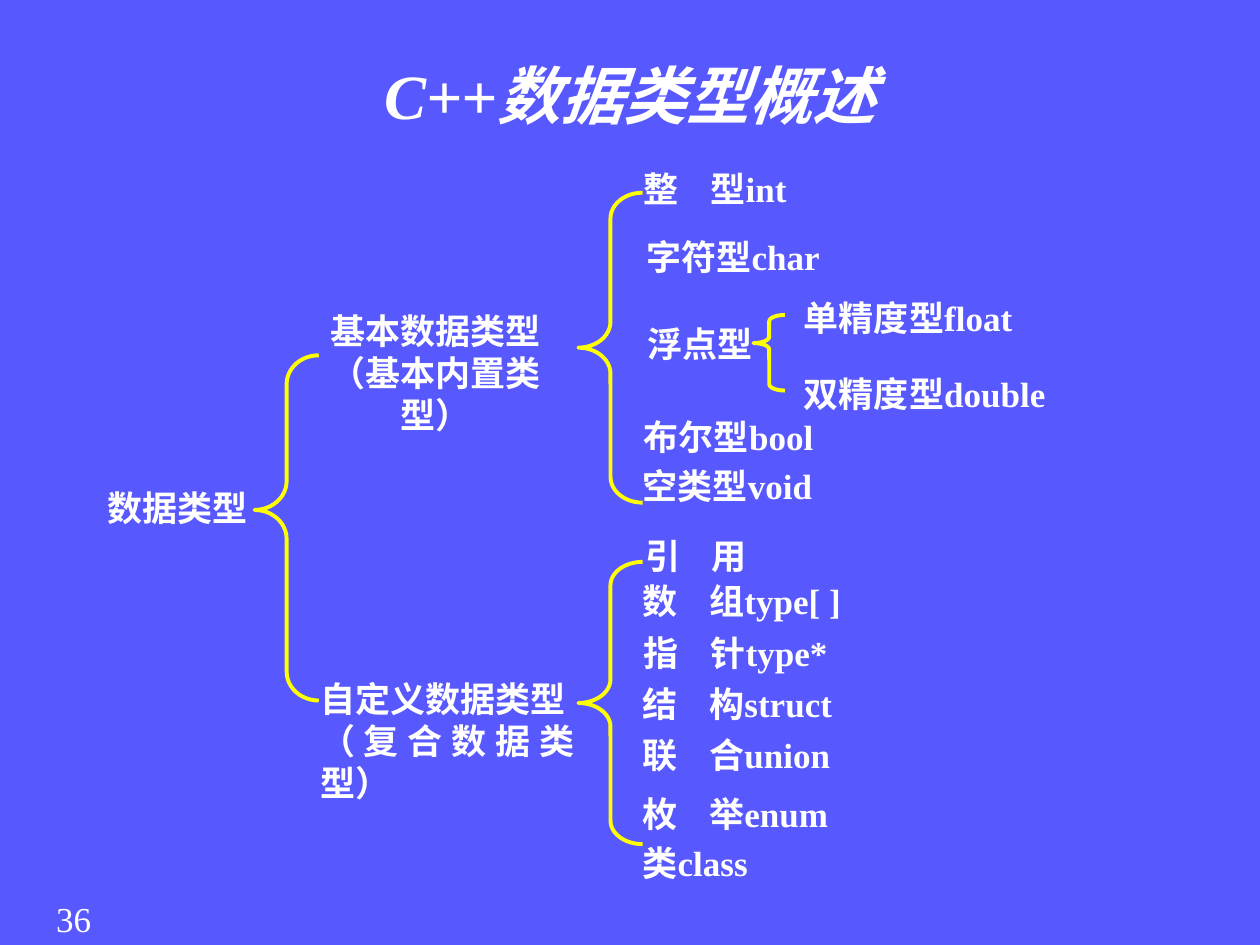
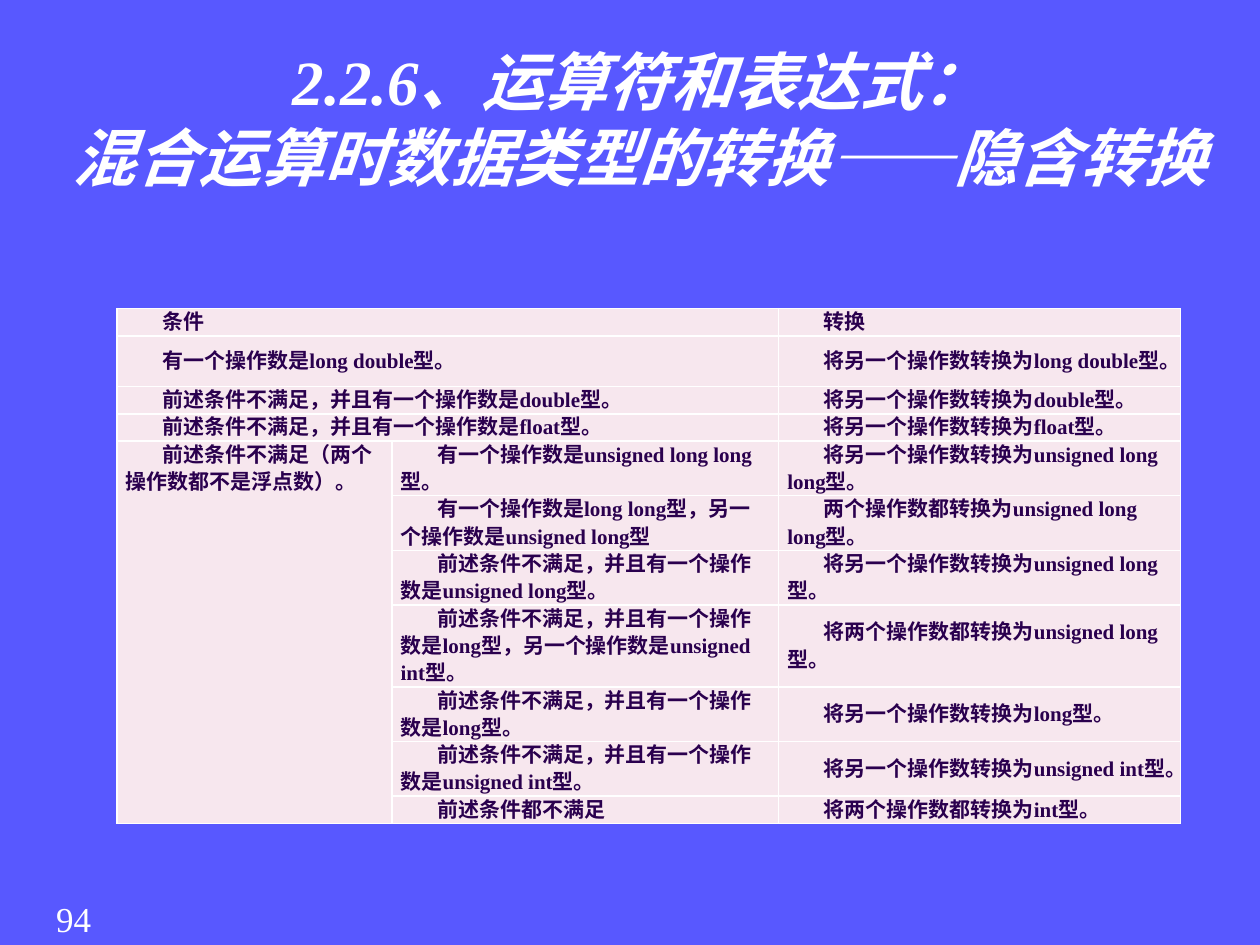
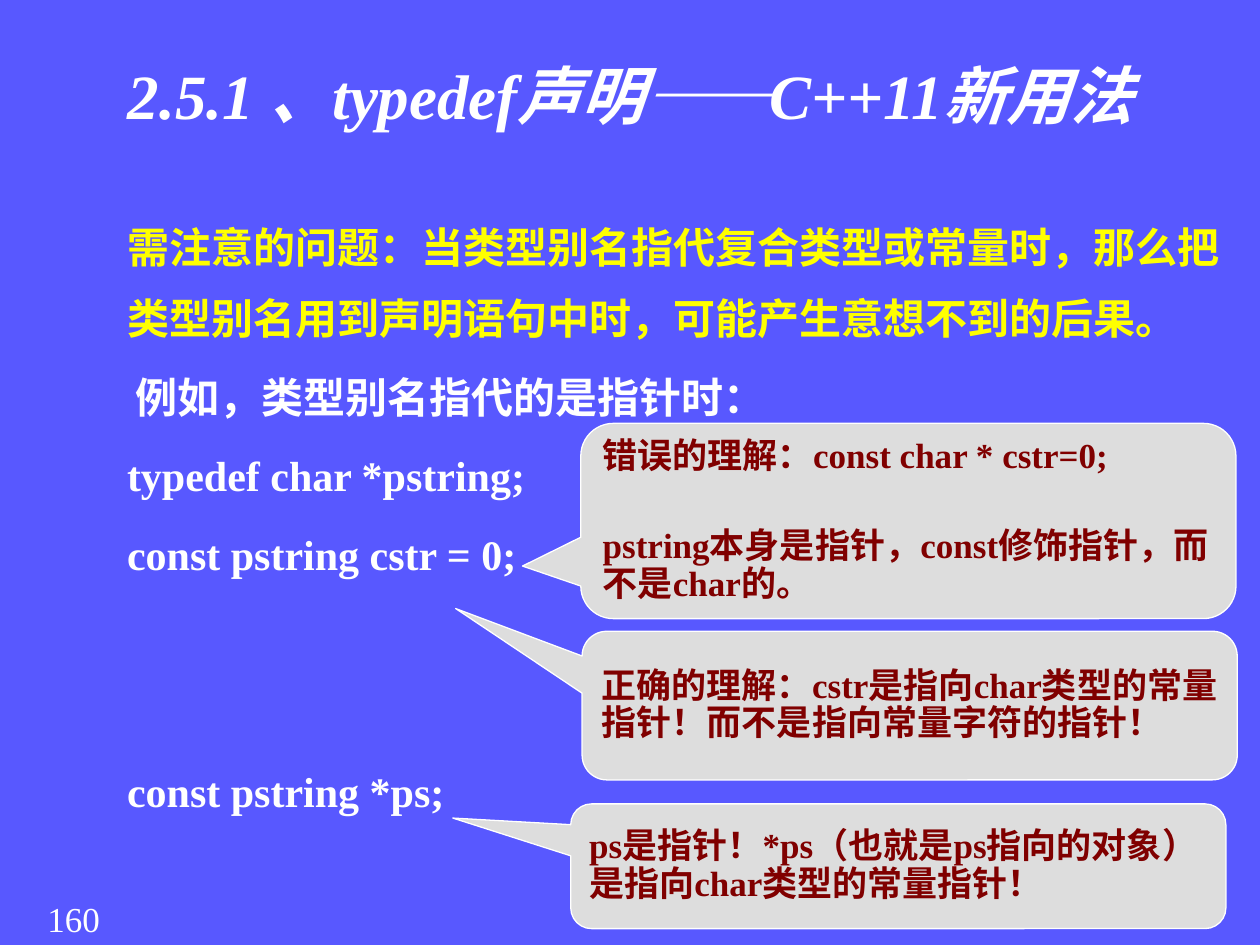
from dataclasses import dataclass, replace
from typing import Optional, Union

from lxml.etree import SubElement
from pptx import Presentation
from pptx.dml.color import RGBColor
from pptx.enum.shapes import MSO_SHAPE as Preset
from pptx.enum.text import MSO_ANCHOR as Anchor, MSO_AUTO_SIZE as AutoSize, PP_ALIGN as Align
from pptx.oxml.ns import qn
from pptx.util import Inches, Length, Pt

BLUE = RGBColor(0x58, 0x58, 0xFF)
WHITE = RGBColor(0xFF, 0xFF, 0xFF)
YELLOW = RGBColor(0xFF, 0xFF, 0x00)
GRAY = RGBColor(0xDD, 0xDD, 0xDD)
MAROON = RGBColor(0x80, 0x00, 0x00)
PINK = RGBColor(0xF7, 0xE7, 0xEE)
PURPLE = RGBColor(0x2A, 0x00, 0x4E)
FONT = "Times New Roman"
TITLE_ONLY = 5
LABEL_INSET = 0.02
CELL_INSET = 0.07
WORD_TAB = 0.53


@dataclass(frozen=True)
class Style:
    size: float
    color: RGBColor = WHITE
    bold: bool = True
    italic: bool = False
    align: Align = Align.LEFT
    line_spacing: Optional[Union[float, Length]] = None
    indent: float = 0


@dataclass(frozen=True)
class Place:
    left: float
    top: float
    width: float
    height: float

    def lengths(self) -> list[Length]:
        return [Inches(side) for side in (self.left, self.top, self.width, self.height)]


@dataclass(frozen=True)
class Line:
    text: str
    style: Style
    space_before: float = 0


@dataclass(frozen=True)
class Label:
    text: str
    place: Place


@dataclass(frozen=True)
class Brace:
    place: Place
    curl: float
    point: float


@dataclass(frozen=True)
class Callout:
    place: Place
    tip: tuple[float, float]
    lines: list[Line]


TITLE = Style(36, italic=True, align=Align.CENTER)
NUMBER = Style(20, bold=False, align=Align.CENTER)
LABEL = Style(20, align=Align.JUSTIFY)
CENTERED = replace(LABEL, align=Align.CENTER)
CELL = Style(12, PURPLE, line_spacing=Pt(15.6), indent=0.29)
BODY = Style(24, line_spacing=1.4)
NOTE = Style(20, MAROON, line_spacing=0.9)

TITLE_PLACE = Place(0.69, 0.4, 8.62, 1.45)
WIDE_TITLE_PLACE = Place(0.43, 0.29, 9.29, 1.45)
NUMBER_PLACE = Place(0.17, 7.07, 0.83, 0.43)

BRACES = [
    Brace(Place(4.59, 4.46, 0.51, 2.24), 0.366, 0.5),
    Brace(Place(4.59, 1.53, 0.51, 2.46), 0.403, 0.5),
    Brace(Place(5.98, 2.5, 0.25, 0.6), 0.199, 0.372),
    Brace(Place(2.02, 2.82, 0.51, 2.74), 0.449, 0.448),
]
LABELS = [
    Label("数据类型", Place(0.83, 3.84, 1.19, 0.4)),
    Label("整\t型int", Place(5.09, 1.31, 1.52, 0.6)),
    Label("字符型char", Place(5.11, 1.85, 1.62, 0.4)),
    Label("浮点型", Place(5.12, 2.54, 0.99, 0.4)),
    Label("单精度型float", Place(6.36, 2.33, 3.05, 0.6)),
    Label("双精度型double", Place(6.36, 2.94, 3.05, 0.4)),
    Label("布尔型bool", Place(5.09, 3.28, 2.03, 0.44)),
    Label("空类型void", Place(5.08, 3.67, 2.79, 0.4)),
    Label("引\t用", Place(5.1, 4.22, 2.79, 0.43)),
    Label("数\t组type[ ]", Place(5.08, 4.58, 2.79, 0.43)),
    Label("指\t针type*", Place(5.09, 4.99, 1.83, 0.34)),
    Label("结\t构struct", Place(5.08, 5.4, 2.79, 0.41)),
    Label("联\t合union", Place(5.08, 5.8, 2.79, 0.4)),
    Label("枚\t举enum", Place(5.08, 6.27, 2.79, 0.33)),
    Label("类class", Place(5.08, 6.66, 1.78, 0.4)),
]

TABLE_PLACE = Place(0.93, 2.45, 8.44, 3.78)
COLUMNS = [2.18, 3.07, 3.19]
ROWS = [0.19, 0.4, 0.19, 0.19, 0.4, 0.4, 0.4, 0.62, 0.4, 0.4, 0.19]
FIRST_INTEGER_ROW = 4
INTEGER_CONDITION = "前述条件不满足（两个操作数都不是浮点数）。"
CONVERSIONS = [
    ("条件", "转换"),
    ("有一个操作数是long double型。", "将另一个操作数转换为long double型。"),
    ("前述条件不满足，并且有一个操作数是double型。", "将另一个操作数转换为double型。"),
    ("前述条件不满足，并且有一个操作数是float型。", "将另一个操作数转换为float型。"),
    ("有一个操作数是unsigned long long型。", "将另一个操作数转换为unsigned long long型。"),
    ("有一个操作数是long long型，另一个操作数是unsigned long型",
     "两个操作数都转换为unsigned long long型。"),
    ("前述条件不满足，并且有一个操作数是unsigned long型。", "将另一个操作数转换为unsigned long型。"),
    ("前述条件不满足，并且有一个操作数是long型，另一个操作数是unsigned int型。",
     "将两个操作数都转换为unsigned long型。"),
    ("前述条件不满足，并且有一个操作数是long型。", "将另一个操作数转换为long型。"),
    ("前述条件不满足，并且有一个操作数是unsigned int型。", "将另一个操作数转换为unsigned int型。"),
    ("前述条件都不满足", "将两个操作数都转换为int型。"),
]

BODY_LINES = [
    Line("需注意的问题：当类型别名指代复合类型或常量时，那么把类型别名用到声明语句中时，可能产生意想不到的后果。",
         replace(BODY, color=YELLOW)),
    Line("例如，类型别名指代的是指针时：", replace(BODY, indent=0.07), 4.8),
    Line("typedef char *pstring;", BODY, 4.8),
    Line("const pstring cstr = 0;", BODY, 4.8),
    Line("const pstring *ps;", BODY, 95),
]
CALLOUTS = [
    Callout(Place(4.61, 3.36, 5.2, 1.55), (-0.589, 0.231), [
        Line("错误的理解：const char * cstr=0;", NOTE),
        Line("pstring本身是指针，const修饰指针，而不是char的。", NOTE, 30),
    ]),
    Callout(Place(4.53, 6.38, 5.2, 0.99), (-0.68, -0.386), [
        Line("ps是指针！*ps（也就是ps指向的对象）是指向char类型的常量指针！", NOTE),
    ]),
    Callout(Place(4.62, 5.01, 5.2, 1.18), (-0.693, -0.653), [
        Line("正确的理解：cstr是指向char类型的常量指针！而不是指向常量字符的指针！", NOTE),
    ]),
]


def write_line(para, line: Line) -> None:
    style = line.style
    para.text = line.text
    para.alignment = style.align
    para.space_before = Pt(line.space_before)
    if style.line_spacing:
        para.line_spacing = style.line_spacing
    properties = para._p.get_or_add_pPr()
    if style.indent:
        properties.set("marL", "0")
        properties.set("indent", str(Inches(style.indent)))
    if "\t" in line.text:
        stops = SubElement(properties, qn("a:tabLst"))
        SubElement(stops, qn("a:tab"), pos=str(Inches(WORD_TAB)), algn="l")
    for span in para.runs:
        span.font.name = FONT
        span.font.size = Pt(style.size)
        span.font.bold = style.bold
        span.font.italic = style.italic
        span.font.color.rgb = style.color


def write_lines(frame, lines: list[Line]) -> None:
    frame.word_wrap = True
    for index, line in enumerate(lines):
        write_line(frame.add_paragraph() if index else frame.paragraphs[0], line)


def add_text(page, place: Place, lines: list[Line], inset: Optional[float] = None) -> None:
    frame = page.shapes.add_textbox(*place.lengths()).text_frame
    if inset is not None:
        frame.margin_left = frame.margin_right = Inches(inset)
        frame.margin_top = frame.margin_bottom = Inches(inset)
    write_lines(frame, lines)


def add_page(deck, title: str, number: int, place: Place = TITLE_PLACE):
    page = deck.slides.add_slide(deck.slide_layouts[TITLE_ONLY])
    box = page.shapes.title
    box.left, box.top, box.width, box.height = place.lengths()
    box.text_frame.auto_size = AutoSize.NONE
    box.text_frame.vertical_anchor = Anchor.TOP
    write_lines(box.text_frame, [Line(title, TITLE)])
    add_text(page, NUMBER_PLACE, [Line(str(number), NUMBER)])
    return page


def add_brace(page, brace: Brace) -> None:
    shape = page.shapes.add_shape(Preset.LEFT_BRACE, *brace.place.lengths())
    shape.shadow.inherit = False
    shape.adjustments[0] = brace.curl
    shape.adjustments[1] = brace.point
    shape.fill.background()
    shape.line.color.rgb = YELLOW
    shape.line.width = Pt(2.25)


def add_callout(page, callout: Callout) -> None:
    shape = page.shapes.add_shape(Preset.ROUNDED_RECTANGULAR_CALLOUT, *callout.place.lengths())
    shape.shadow.inherit = False
    for index, value in enumerate((*callout.tip, 0.167)):
        shape.adjustments[index] = value
    shape.fill.solid()
    shape.fill.fore_color.rgb = GRAY
    shape.line.color.rgb = WHITE
    shape.line.width = Pt(0.75)
    shape.text_frame.vertical_anchor = Anchor.MIDDLE
    write_lines(shape.text_frame, callout.lines)


def format_cell(cell) -> None:
    cell.margin_left = cell.margin_right = Inches(CELL_INSET)
    cell.margin_top = cell.margin_bottom = 0
    cell.vertical_anchor = Anchor.MIDDLE
    properties = cell._tc.get_or_add_tcPr()
    for side in ("a:lnL", "a:lnR", "a:lnT", "a:lnB"):
        border = SubElement(properties, qn(side), w=str(Pt(1)))
        paint = SubElement(border, qn("a:solidFill"))
        SubElement(paint, qn("a:srgbClr"), val=str(WHITE))
    cell.fill.solid()
    cell.fill.fore_color.rgb = PINK


def build_overview(deck) -> None:
    page = add_page(deck, "C++数据类型概述", 36)
    for brace in BRACES:
        add_brace(page, brace)
    for label in LABELS:
        add_text(page, label.place, [Line(label.text, LABEL)], LABEL_INSET)
    custom_types = [Line(text, LABEL) for text in ("自定义数据类型", "（复合数据类型）")]
    add_text(page, Place(2.52, 5.36, 2.06, 0.6), custom_types, LABEL_INSET)
    add_text(page, Place(2.33, 2.41, 2.26, 0.6), [Line("基本数据类型\n（基本内置类型）", CENTERED)])


def build_conversions(deck) -> None:
    page = add_page(deck, "2.2.6、运算符和表达式：\n混合运算时数据类型的转换——隐含转换", 94, WIDE_TITLE_PLACE)
    table = page.shapes.add_table(len(ROWS), len(COLUMNS), *TABLE_PLACE.lengths()).table
    table.first_row = table.horz_banding = False
    for column, width in zip(table.columns, COLUMNS):
        column.width = Inches(width)
    for row, height in zip(table.rows, ROWS):
        row.height = Inches(height)
    for cell in table.iter_cells():
        format_cell(cell)
    for index, (condition, result) in enumerate(CONVERSIONS):
        is_integer = index >= FIRST_INTEGER_ROW
        if not is_integer:
            table.cell(index, 0).merge(table.cell(index, 1))
        write_line(table.cell(index, int(is_integer)).text_frame.paragraphs[0], Line(condition, CELL))
        write_line(table.cell(index, 2).text_frame.paragraphs[0], Line(result, CELL))
    shared = table.cell(FIRST_INTEGER_ROW, 0)
    shared.merge(table.cell(len(ROWS) - 1, 0))
    shared.vertical_anchor = Anchor.TOP
    write_line(shared.text_frame.paragraphs[0], Line(INTEGER_CONDITION, CELL))


def build_typedef(deck) -> None:
    page = add_page(deck, "2.5.1 、typedef声明——C++11新用法", 160)
    add_text(page, Place(0.91, 1.55, 9.09, 3.17), BODY_LINES)
    for callout in CALLOUTS:
        add_callout(page, callout)


def main() -> None:
    deck = Presentation()
    deck.slide_width, deck.slide_height = Inches(10), Inches(7.5)
    background = deck.slide_master.background.fill
    background.solid()
    background.fore_color.rgb = BLUE
    build_overview(deck)
    build_conversions(deck)
    build_typedef(deck)
    deck.save("out.pptx")


if __name__ == "__main__":
    main()
